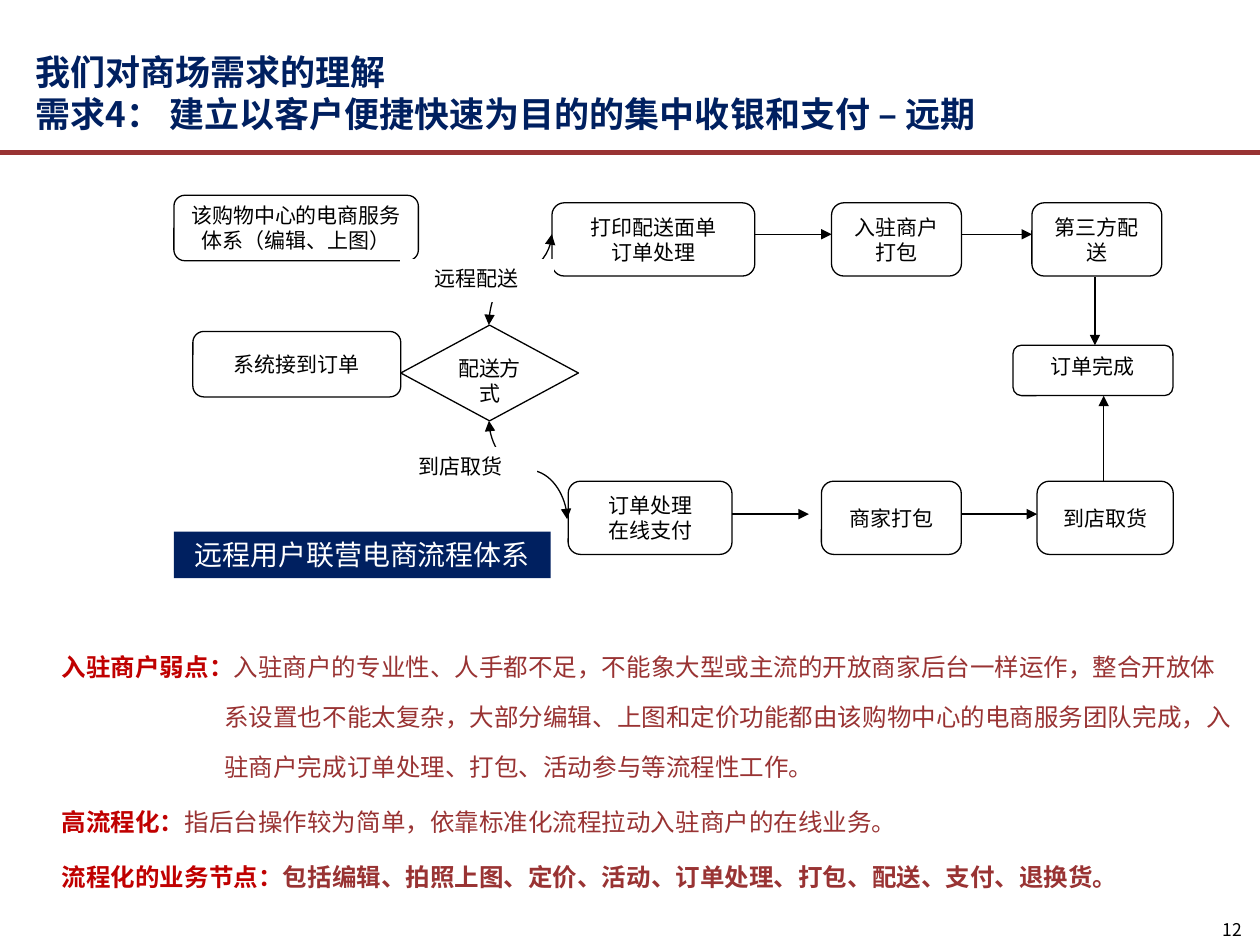
"""Build the slide on the remote order and delivery flow."""
import pptx
import pptx.util
import pptx.dml.color
import pptx.enum.shapes
import pptx.enum.text
import pptx.oxml.ns
from lxml import etree

Pt = pptx.util.Pt
RGB = pptx.dml.color.RGBColor
KIND = pptx.enum.shapes.MSO_SHAPE
LINK = pptx.enum.shapes.MSO_CONNECTOR
ALIGN = pptx.enum.text.PP_ALIGN
ANCHOR = pptx.enum.text.MSO_ANCHOR
qn = pptx.oxml.ns.qn

NAVY = RGB(0x00, 0x20, 0x60)
RED = RGB(0xC0, 0x00, 0x00)
BRICK = RGB(0x99, 0x33, 0x33)
BLACK = RGB(0, 0, 0)
WHITE = RGB(255, 255, 255)
SANS, CJK = "Arial", "Noto Sans CJK SC"

TITLE = ["我们对商场需求的理解", "需求4： 建立以客户便捷快速为目的的集中收银和支付 – 远期"]
NOTES = [
    ("入驻商户弱点：", "入驻商户的专业性、人手都不足，不能象大型或主流的开放商家后台一样运作，"
     "整合开放体系设置也不能太复杂，大部分编辑、上图和定价功能都由该购物中心的电商服务团队完成，"
     "入驻商户完成订单处理、打包、活动参与等流程性工作。", False),
    ("高流程化：", "指后台操作较为简单，依靠标准化流程拉动入驻商户的在线业务。", False),
    ("流程化的业务节点：", "包括编辑、拍照上图、定价、活动、订单处理、打包、配送、支付、退换货。", True),
]
TOP, LOW, TALL = 115.9, 275, 41.8
STEPS = [
    (["系统接到订单"], 110.2, 189.4, 118.8, 37.4),
    (["该购物中心的电商服务体系（编辑、上图）"], 99.4, 111.6, 139.7, 37.4),
    (["打印配送面单", "订单处理"], 315.4, TOP, 115.9, TALL),
    (["入驻商户打包"], 475.2, TOP, 74.2, TALL),
    (["第三方配送"], 589.7, TOP, 74.2, TALL),
    (["订单处理", "在线支付"], 324.7, LOW, 93.6, TALL),
    (["商家打包"], 469.4, LOW, 79.9, TALL),
    (["到店取货"], 592.6, LOW, 77.8, TALL),
]
CHOICE = (["配送方式"], 229, 185.8, 101.5, 54.7)
DONE = (["订单完成"], 578.9, 197.3, 91.4, 28.8)
LABELS = [
    (["远程配送"], 229, 148.3, 87.1, 23.8),
    (["到店取货"], 219.6, 255.6, 87.1, 23.8),
]
BANNER = (["远程用户联营电商流程体系"], 99.4, 303.8, 215.3, 26.6)
CURVES = [
    ((271.4, 141.8, 323.3, 177.8), 60700),
    ((329.8, 246.2, 273.6, 290.9), 50000),
]
ARROWS = [
    (431.3, 133.9, 475.2, 133.9),
    (549.4, 133.9, 589.7, 133.9),
    (418.3, 293.8, 462.2, 293.8),
    (549.4, 293.8, 592.6, 293.8),
    (625.7, 158.4, 625.7, 197.3),
    (630.7, 275, 630.7, 226.1),
]


def add_run(para, text, size, color, face=SANS, bold=False):
    run = para.add_run()
    run.text = text
    font = run.font
    font.size, font.name, font.bold = Pt(size), face, bold
    font.color.rgb = color


def add_box(slide, data, kind, anchor=ANCHOR.TOP, fill=WHITE, edge=BLACK, ink=BLACK, size=12):
    lines, *area = data
    box = slide.shapes.add_shape(kind, *map(Pt, area))
    box.shadow.inherit = False
    box.fill.solid()
    box.fill.fore_color.rgb = fill
    if edge is None:
        box.line.fill.background()
    else:
        box.line.color.rgb = edge
        box.line.width = Pt(0.75)
    frame = box.text_frame
    frame.word_wrap = True
    frame.vertical_anchor = anchor
    for i, line in enumerate(lines):
        para = frame.add_paragraph() if i else frame.paragraphs[0]
        para.alignment = ALIGN.CENTER
        add_run(para, line, size, ink)


def add_line(slide, ends, kind=LINK.STRAIGHT, color=BLACK, width=0.75, tips=()):
    line = slide.shapes.add_connector(kind, *map(Pt, ends))
    line.line.color.rgb = color
    line.line.width = Pt(width)
    stroke = line.line._get_or_add_ln()
    for tip in tips:
        etree.SubElement(stroke, qn("a:" + tip), type="triangle")
    etree.SubElement(line._element.spPr, qn("a:effectLst"))
    return line


def add_curve(slide, ends, bend):
    props = add_line(slide, ends, LINK.CURVE, tips=("headEnd", "tailEnd"))._element.spPr
    props.find(qn("a:xfrm")).set("rot", str(270 * 60000))
    guides = props.find(qn("a:prstGeom")).find(qn("a:avLst"))
    etree.SubElement(guides, qn("a:gd"), name="adj1", fmla=f"val {bend}")


def add_text(slide, area, anchor=ANCHOR.TOP):
    frame = slide.shapes.add_textbox(*map(Pt, area)).text_frame
    frame.word_wrap = True
    frame.vertical_anchor = anchor
    frame.margin_left = frame.margin_right = frame.margin_top = frame.margin_bottom = 0
    return frame


def add_notes(slide):
    frame = add_text(slide, (14.4, 360.7, 691.9, 181.4))
    for i, (head, body, bold) in enumerate(NOTES):
        para = frame.add_paragraph() if i else frame.paragraphs[0]
        para.line_spacing = 1.7
        para.space_before = Pt(2.8 if i else 0)
        props = para._p.get_or_add_pPr()
        props.set("marL", str(Pt(113.8)))
        props.set("indent", str(Pt(-92.9)))
        add_run(para, head, 14, RED, bold=True)
        add_run(para, body, 14, BRICK, bold=bold)


def main():
    deck = pptx.Presentation()
    deck.slide_width, deck.slide_height = Pt(720), Pt(540)
    slide = deck.slides.add_slide(deck.slide_layouts[6])
    add_line(slide, (0, 87.1, 720, 87.1), color=BRICK, width=2.75)
    para = add_text(slide, (20.2, 0, 566.6, 77), ANCHOR.BOTTOM).paragraphs[0]
    for i, line in enumerate(TITLE):
        if i:
            para.add_line_break()
        add_run(para, line, 20, NAVY, CJK, True)
    add_notes(slide)
    para = add_text(slide, (609.1, 524.9, 100.8, 12.2), ANCHOR.BOTTOM).paragraphs[0]
    para.alignment = ALIGN.RIGHT
    add_run(para, "12", 10, BLACK, CJK)
    for step in STEPS:
        add_box(slide, step, KIND.ROUNDED_RECTANGLE, ANCHOR.MIDDLE)
    add_box(slide, CHOICE, KIND.FLOWCHART_DECISION)
    for ends, bend in CURVES:
        add_curve(slide, ends, bend)
    for label in LABELS:
        add_box(slide, label, KIND.RECTANGLE, edge=WHITE)
    add_box(slide, DONE, KIND.ROUNDED_RECTANGLE)
    for ends in ARROWS:
        add_line(slide, ends, tips=("tailEnd",))
    add_box(slide, BANNER, KIND.RECTANGLE, fill=NAVY, edge=None, ink=WHITE, size=16)
    deck.save("out.pptx")


if __name__ == "__main__":
    main()
